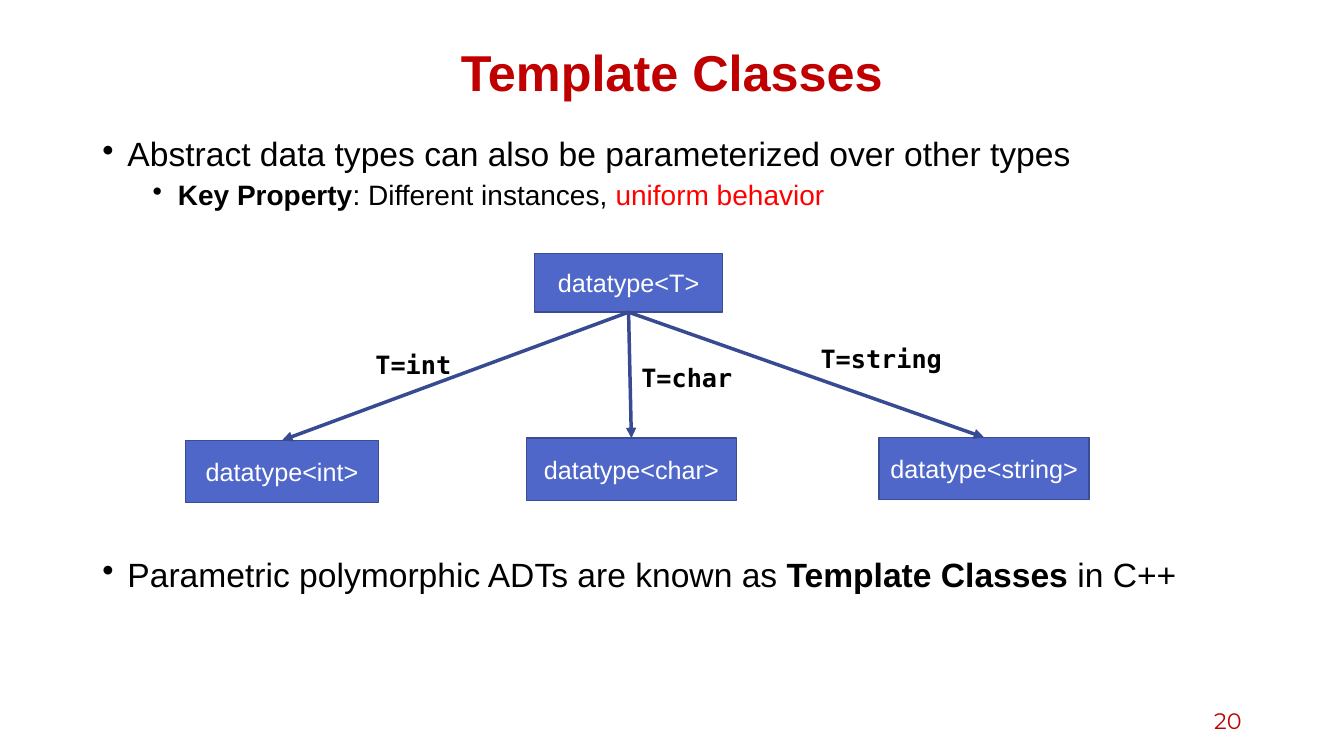
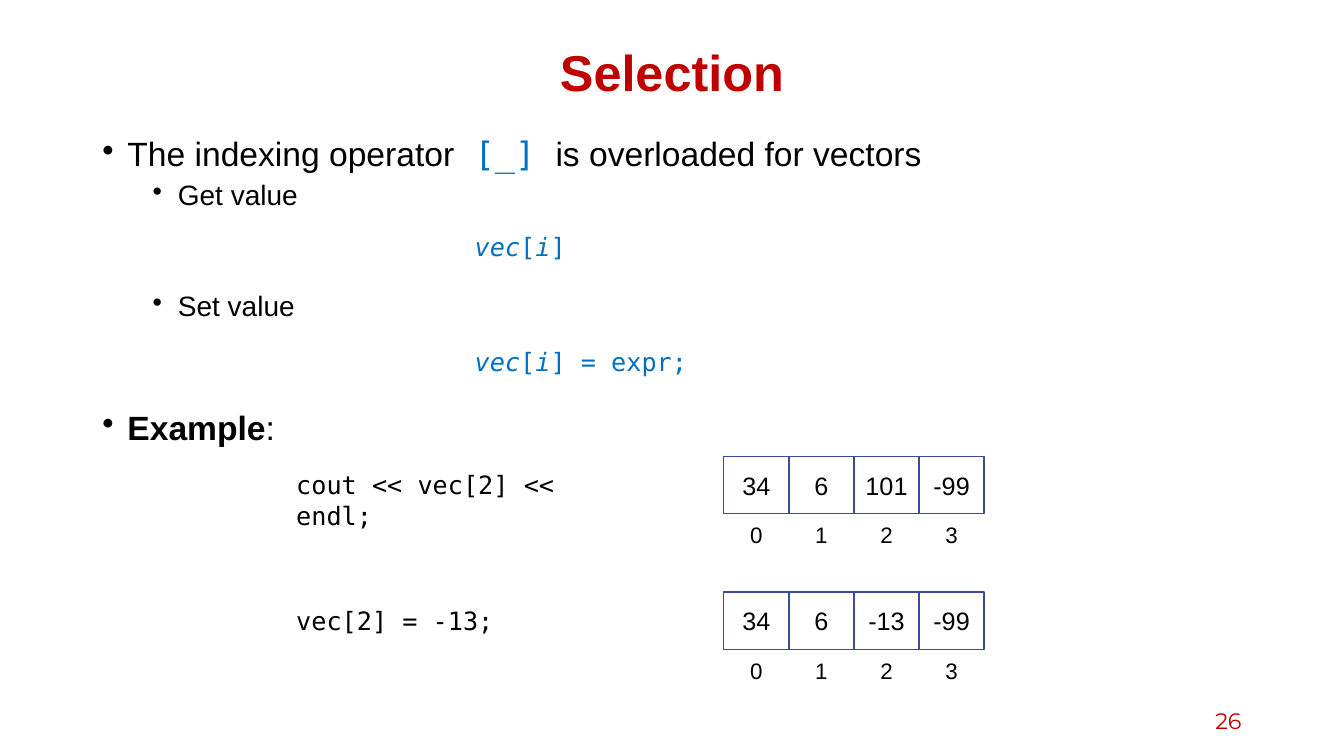
import pptx
import pptx.dml.color
import pptx.enum.shapes
import pptx.enum.text
import pptx.oxml
import pptx.oxml.ns
import pptx.util
from dataclasses import dataclass

Pt = pptx.util.Pt
ALIGN = pptx.enum.text.PP_ALIGN
ANCHOR = pptx.enum.text.MSO_ANCHOR
RECTANGLE = pptx.enum.shapes.MSO_SHAPE.RECTANGLE


@dataclass(frozen=True)
class Theme:
    sans: str = "Arial"
    mono: str = "DejaVu Sans Mono"
    number_font: str = "Montserrat"
    black: str = "000000"
    white: str = "FFFFFF"
    heading: str = "C00000"
    alert: str = "FF0000"
    code: str = "0070C0"
    box: str = "4E67C8"
    outline: str = "3A4C94"
    arrow: str = "374A92"
    title_size: int = 36
    bullet_sizes: tuple = (24, 20)
    label_size: int = 18
    small_size: int = 16


THEME = Theme()
BOLD = {"bold": True}
ITALIC = {"italic": True}


# Text
def rgb(value):
    return pptx.dml.color.RGBColor.from_string(value)


def style(name=THEME.sans, size=THEME.label_size, color=THEME.black, **extra):
    return {"name": name, "size": size, "color": color, **extra}


def write(paragraph, runs, base):
    """Add runs, each a string or a (string, changes) pair."""
    for item in [runs] if isinstance(runs, str) else runs:
        text, changes = (item, {}) if isinstance(item, str) else item
        run = paragraph.add_run()
        run.text = text
        for key, value in {**base, **changes}.items():
            if key == "color":
                run.font.color.rgb = rgb(value)
            else:
                setattr(run.font, key, Pt(value) if key == "size" else value)


def format_frame(frame, anchor=ANCHOR.TOP):
    settings = {"word_wrap": True, "vertical_anchor": anchor,
                "auto_size": pptx.enum.text.MSO_AUTO_SIZE.NONE}
    for key, value in settings.items():
        setattr(frame, key, value)
    return frame


def add_label(shapes, area, runs, base, align=ALIGN.LEFT, anchor=ANCHOR.TOP):
    label = shapes.add_textbox(*map(Pt, area))
    paragraph = format_frame(label.text_frame, anchor).paragraphs[0]
    paragraph.alignment = align
    write(paragraph, runs, base)


def add_bullets(slide, items):
    """Add items given as (level, space before, runs)."""
    body = slide.shapes.add_textbox(Pt(66), Pt(95), Pt(828), Pt(397))
    frame = format_frame(body.text_frame)
    for index, (level, space, runs) in enumerate(items):
        paragraph = frame.add_paragraph() if index else frame.paragraphs[0]
        properties = paragraph._p.get_or_add_pPr()
        properties.set("marL", str(Pt(18 + 36 * level)))
        properties.set("indent", str(-Pt(18)))
        bullet = pptx.oxml.parse_xml(
            f'<a:buChar {pptx.oxml.ns.nsdecls("a")} char="•"/>')
        properties.append(bullet)
        settings = {"level": level, "line_spacing": 0.9,
                    "space_before": Pt(space)}
        for key, value in settings.items():
            setattr(paragraph, key, value)
        write(paragraph, runs, style(size=THEME.bullet_sizes[level]))


# Shapes
def add_box(shapes, area, text, fill, color):
    box = shapes.add_shape(RECTANGLE, *map(Pt, area))
    box.shadow.inherit = False
    box.fill.solid()
    box.fill.fore_color.rgb = rgb(fill)
    box.line.color.rgb = rgb(THEME.outline)
    box.line.width = Pt(1)
    paragraph = format_frame(box.text_frame, ANCHOR.MIDDLE).paragraphs[0]
    paragraph.alignment = ALIGN.CENTER
    write(paragraph, text, style(color=color))
    return box


def add_arrow(shapes, parent, child):
    arrow = shapes.add_connector(
        pptx.enum.shapes.MSO_CONNECTOR.STRAIGHT, 0, 0, 0, 0)
    arrow.begin_connect(parent, 2)
    arrow.end_connect(child, 0)
    arrow.line.color.rgb = rgb(THEME.arrow)
    arrow.line.width = Pt(2.5)
    namespace = pptx.oxml.ns.nsdecls("a")
    arrow.line._get_or_add_ln().append(
        pptx.oxml.parse_xml(f'<a:tailEnd {namespace} type="triangle"/>'))
    arrow._element.spPr.append(
        pptx.oxml.parse_xml(f"<a:effectLst {namespace}/>"))


def add_vector(slide, top, values):
    """Draw a row of cells with an index centred below each."""
    left, width, height, index_width = 517, 46.5, 41, 29
    shapes = slide.shapes.add_group_shape().shapes
    for index, value in enumerate(values):
        x = left + index * width
        add_box(shapes, (x, top, width, height), value,
                THEME.white, THEME.black)
        add_label(shapes, (x + (width - index_width) / 2, top + 43,
                           index_width, 27),
                  str(index), style(size=THEME.small_size), ALIGN.CENTER)


# Slides
def add_slide(deck, heading, number):
    slide = deck.slides.add_slide(deck.slide_layouts[5])
    title = slide.shapes.title
    frame_place = {"left": 66, "top": 29, "width": 828, "height": 50}
    for key, value in frame_place.items():
        setattr(title, key, Pt(value))
    paragraph = format_frame(title.text_frame, ANCHOR.MIDDLE).paragraphs[0]
    paragraph.alignment = ALIGN.CENTER
    paragraph.line_spacing = 0.9
    write(paragraph, heading,
          style(size=THEME.title_size, color=THEME.heading, bold=True))
    add_label(slide.shapes, (678, 500, 216, 29), str(number),
              style(THEME.number_font, THEME.small_size, THEME.heading),
              ALIGN.RIGHT, ANCHOR.MIDDLE)
    return slide


def add_template_classes(deck):
    slide = add_slide(deck, "Template Classes", 20)
    add_bullets(slide, [
        (0, 0, "Abstract data types can also be parameterized "
               "over other types"),
        (1, 5, [("Key Property", BOLD), ": Different instances, ",
                ("uniform behavior", {"color": THEME.alert})]),
        (0, 248, ["Parametric polymorphic ADTs are known as ",
                  ("Template Classes ", BOLD), "in C++"]),
    ])

    # Generic type and its instances
    generic = add_box(slide.shapes, (382, 181, 134, 42), "datatype<T>",
                      THEME.box, THEME.white)
    instances = [
        ("int", (132.5, 314.5, 138, 44.5), (261, 246, 84, 29)),
        ("char", (376, 313, 150, 44.5), (451, 255, 84, 29)),
        ("string", (628, 312.5, 150, 44.5), (579, 242, 112, 29)),
    ]
    for kind, box_area, label_area in instances:
        instance = add_box(slide.shapes, box_area, f"datatype<{kind}>",
                           THEME.box, THEME.white)
        add_arrow(slide.shapes, generic, instance)
        add_label(slide.shapes, label_area, f"T={kind}",
                  style(THEME.mono, bold=True))


def add_selection(deck):
    slide = add_slide(deck, "Selection", 26)
    add_bullets(slide, [
        (0, 0, ["The indexing operator",
                (" [_] ", {"name": THEME.mono, "color": THEME.code}),
                "is overloaded for vectors"]),
        (1, 5, "Get value"),
        (1, 58, "Set value"),
        (0, 63, [("Example", BOLD), ":"]),
    ])

    # Syntax
    for top, ending in ((162, "]"), (244, "] = expr;")):
        add_label(slide.shapes, (332, top, 184, 29),
                  [("vec", ITALIC), "[", ("i", ITALIC), ending],
                  style(THEME.mono, color=THEME.code))

    # Statements beside the vector they act on
    examples = [
        (326, "cout << vec[2] << endl;", ("34", "6", "101", "-99")),
        (423, "vec[2] = -13;", ("34", "6", "-13", "-99")),
    ]
    for top, statement, values in examples:
        add_label(slide.shapes, (204.5, top + 6, 253, 29), statement,
                  style(THEME.mono))
        add_vector(slide, top, values)


def main():
    deck = pptx.Presentation()
    deck.slide_width, deck.slide_height = Pt(960), Pt(540)
    add_template_classes(deck)
    add_selection(deck)
    deck.save("out.pptx")


if __name__ == "__main__":
    main()
